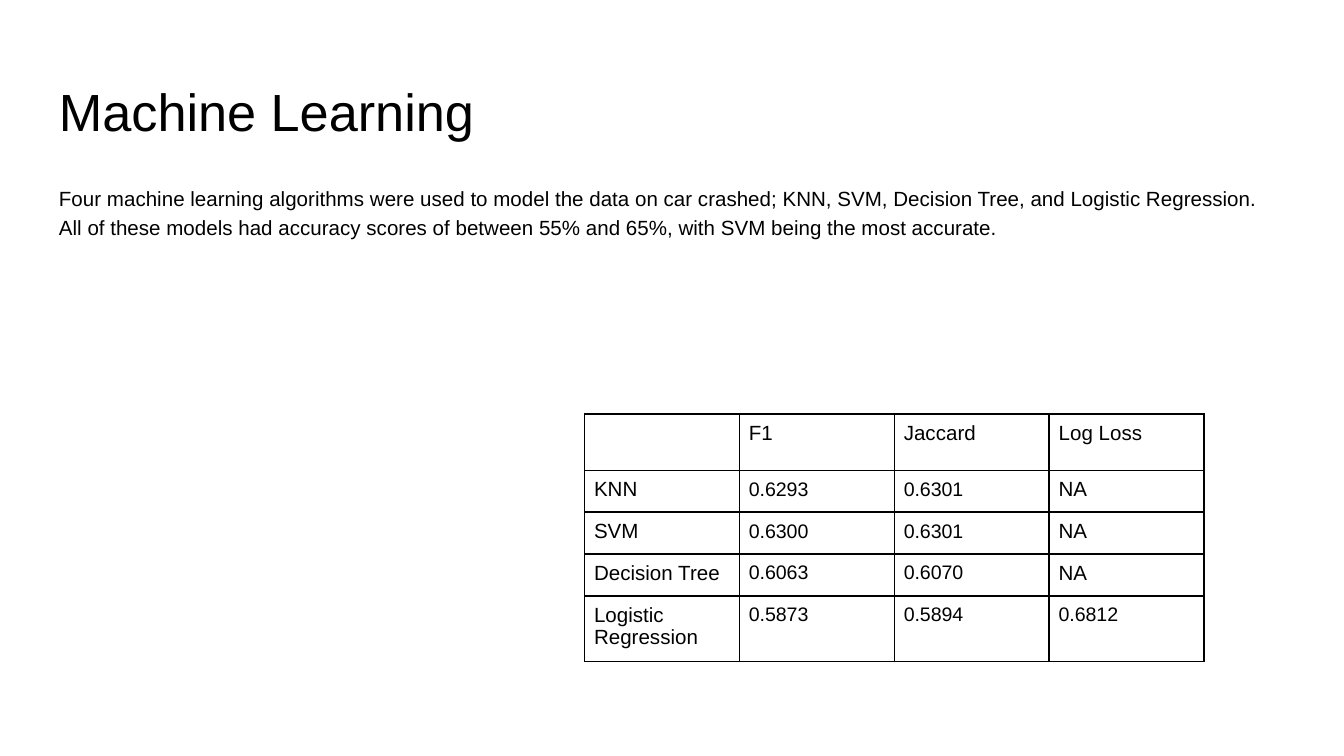
from dataclasses import dataclass

from lxml import etree
from pptx import Presentation
from pptx.dml.color import RGBColor
from pptx.enum.text import MSO_ANCHOR
from pptx.oxml.ns import qn
from pptx.util import Inches, Pt

TOP = MSO_ANCHOR.TOP
BORDERS = ("a:lnL", "a:lnR", "a:lnT", "a:lnB")


@dataclass(frozen=True)
class Theme:
    """Colours, font, type sizes and line spacing of the slide."""
    font: str = "Arial"
    ink: str = "000000"
    paper: str = "FFFFFF"
    title: float = 28
    body: float = 11
    score: float = 10.5
    border: float = 1
    body_spacing: float = 1.15
    cell_spacing: float = 0.94


THEME = Theme()
BODY = (
    "Four machine learning algorithms were used to model the data on car crashed; "
    "KNN, SVM, Decision Tree, and Logistic Regression. All of these models had "
    "accuracy scores of between 55% and 65%, with SVM being the most accurate."
)
SCORES = [
    ("", "F1", "Jaccard", "Log Loss"),
    ("KNN", "0.6293", "0.6301", "NA"),
    ("SVM", "0.6300", "0.6301", "NA"),
    ("Decision Tree", "0.6063", "0.6070", "NA"),
    ("Logistic Regression", "0.5873", "0.5894", "0.6812"),
]
ROW_HEIGHTS = (0.42, 0.31, 0.31, 0.31, 0.48)


def style_paragraph(para, size, line_spacing):
    """Give a paragraph the theme font and colour at a size and spacing."""
    para.line_spacing = line_spacing
    para.font.name = THEME.font
    para.font.size = Pt(size)
    para.font.color.rgb = RGBColor.from_string(THEME.ink)


def set_margins(holder, inches):
    """Set four equal inner margins on a text frame or cell."""
    holder.margin_left = holder.margin_right = Inches(inches)
    holder.margin_top = holder.margin_bottom = Inches(inches)


def add_text(page, box, text, size, line_spacing=1.0):
    """Place a wrapped text box in the given box."""
    frame = page.shapes.add_textbox(*map(Inches, box)).text_frame
    frame.word_wrap = True
    frame.vertical_anchor = TOP
    set_margins(frame, 0.1)
    para = frame.paragraphs[0]
    para.text = text
    style_paragraph(para, size, line_spacing)


def add_borders(cell):
    """Draw a solid line on every side of a cell."""
    properties = cell._tc.get_or_add_tcPr()
    for index, tag in enumerate(BORDERS):
        line = etree.Element(qn(tag), w=str(Pt(THEME.border)))
        fill = etree.SubElement(line, qn("a:solidFill"))
        etree.SubElement(fill, qn("a:srgbClr"), val=THEME.ink)
        properties.insert(index, line)


def add_score_table(page, box, rows):
    """Place the bordered score table in the given box."""
    frame = page.shapes.add_table(len(rows), len(rows[0]), *map(Inches, box))
    table = frame.table
    table.first_row = table.horz_banding = False
    for column in table.columns:
        column.width = Inches(box[2] / len(rows[0]))
    for row, height, values in zip(table.rows, ROW_HEIGHTS, rows):
        row.height = Inches(height)
        for cell, value in zip(row.cells, values):
            cell.text = value
            cell.fill.background()
            cell.vertical_anchor = TOP
            set_margins(cell, 0.07)
            size = THEME.score if value.startswith("0.") else THEME.body
            para = cell.text_frame.paragraphs[0]
            style_paragraph(para, size, THEME.cell_spacing)
            add_borders(cell)


def add_results_slide(deck):
    """Build the slide with its title, summary and scores."""
    page = deck.slides.add_slide(deck.slide_layouts[6])
    page.background.fill.solid()
    page.background.fill.fore_color.rgb = RGBColor.from_string(THEME.paper)
    add_text(page, (0.34, 0.49, 9.32, 0.63), "Machine Learning", THEME.title)
    add_text(page, (0.34, 1.26, 9.32, 3.74), BODY, THEME.body, THEME.body_spacing)
    add_score_table(page, (4.35, 3.08, 4.61, sum(ROW_HEIGHTS)), SCORES)


def main():
    """Create and save the deck."""
    deck = Presentation()
    deck.slide_width = Inches(10)
    deck.slide_height = deck.slide_width * 9 // 16
    add_results_slide(deck)
    deck.save("out.pptx")


if __name__ == "__main__":
    main()
